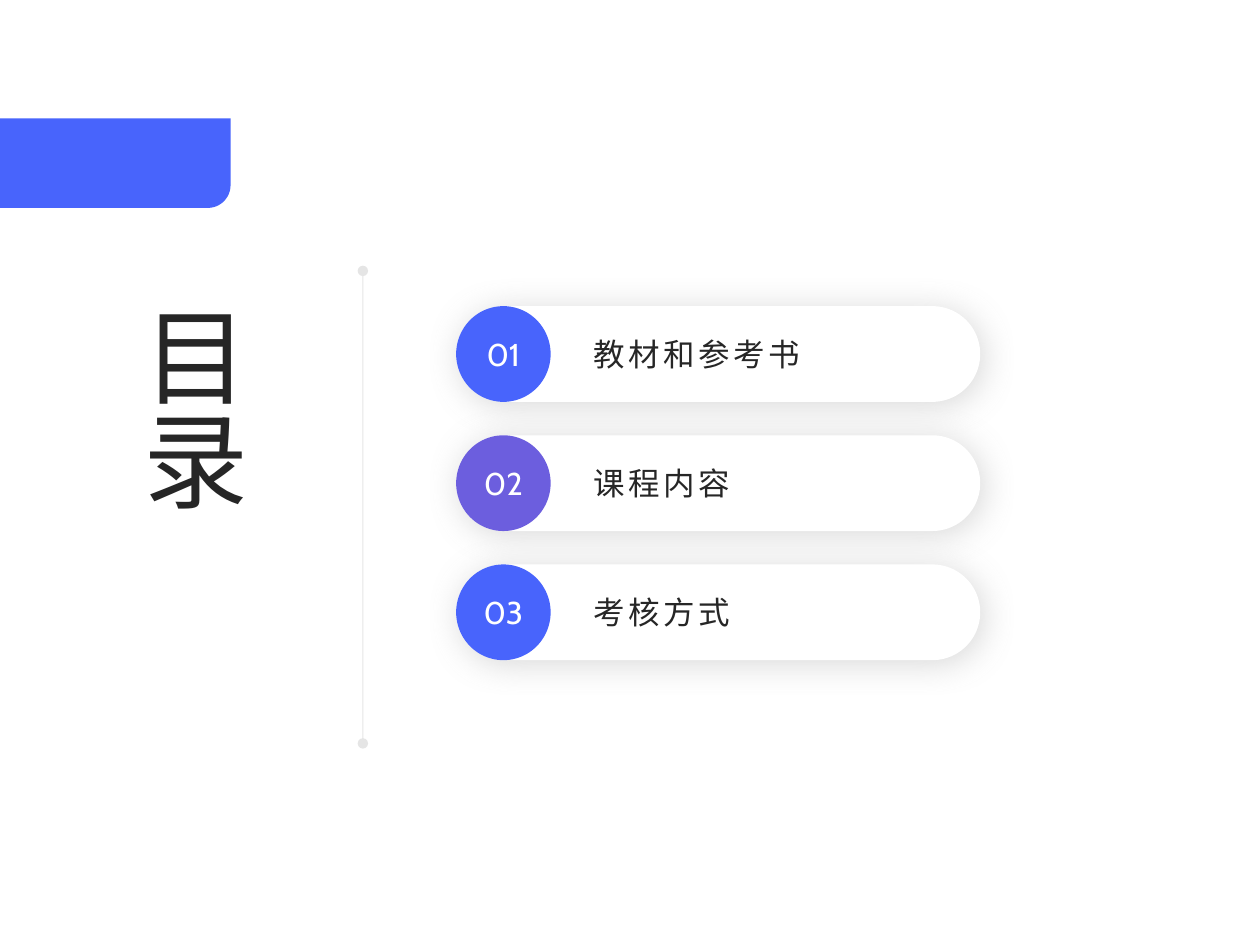
from dataclasses import dataclass
from math import cos, pi, sin

from lxml.etree import SubElement
from pptx import Presentation
from pptx.dml.color import RGBColor
from pptx.enum.shapes import MSO_CONNECTOR, MSO_SHAPE
from pptx.enum.text import MSO_ANCHOR, PP_ALIGN
from pptx.oxml.ns import qn
from pptx.util import Inches, Pt


@dataclass(frozen=True)
class Theme:
    font: str = "Cabin"
    blue: str = "4864FC"
    purple: str = "6C5EDE"
    white: str = "FFFFFF"
    ink: str = "262626"
    gray: str = "808080"
    title_size: int = 60
    item_size: int = 18


THEME = Theme()
ITEMS = [
    ("01", "教材和参考书", THEME.blue),
    ("02", "课程内容", THEME.purple),
    ("03", "考核方式", THEME.blue),
]


def paint(shape, color):
    shape.fill.solid()
    shape.fill.fore_color.rgb = RGBColor.from_string(color)
    shape.line.fill.background()
    shape.shadow.inherit = False


def add_alpha(color_element, percent):
    SubElement(color_element, qn("a:alpha"), val=str(percent * 1000))


def add_soft_shadow(shape):
    effects = shape._element.spPr.find(qn("a:effectLst"))
    shadow = SubElement(effects, qn("a:outerShdw"), blurRad=str(Pt(20)), dist=str(Pt(3)),
                        dir=str(45 * 60000), algn="tl", rotWithShape="0")
    add_alpha(SubElement(shadow, qn("a:srgbClr"), val=THEME.gray), 30)


def write(shape, text, size, color, align, side_inset=0.0):
    """Put one middle-anchored paragraph in the shape and return the paragraph."""
    frame = shape.text_frame
    frame.word_wrap = True
    frame.vertical_anchor = MSO_ANCHOR.MIDDLE
    frame.margin_top = frame.margin_bottom = 0
    frame.margin_left = frame.margin_right = Inches(side_inset)
    paragraph = frame.paragraphs[0]
    paragraph.text = text
    paragraph.alignment = align
    paragraph.font.name = THEME.font
    paragraph.font.size = Pt(size)
    paragraph.font.color.rgb = RGBColor.from_string(color)
    return paragraph


def add_divider(slide, x, top, height):
    """Thin vertical line with a dot at each end."""
    line = slide.shapes.add_connector(MSO_CONNECTOR.STRAIGHT, Inches(x), Inches(top),
                                      Inches(x), Inches(top + height))
    line.line.width = Pt(0.5)
    line.line.color.rgb = RGBColor.from_string(THEME.gray)
    properties = line._element.spPr
    outline = properties.find(qn("a:ln"))
    add_alpha(outline.find(".//" + qn("a:srgbClr")), 20)
    for end in ("a:headEnd", "a:tailEnd"):
        SubElement(outline, qn(end), type="oval")
    SubElement(properties, qn("a:effectLst"))


def add_banner(slide, left, top, width, height, radius=0.18, steps=16):
    """Band whose bottom right corner alone is rounded."""
    right, bottom = left + width, top + height
    angles = [pi / 2 * step / steps for step in range(steps + 1)]
    corner = [(right - radius + radius * cos(angle), bottom - radius + radius * sin(angle))
              for angle in angles]
    points = [(Inches(x), Inches(y)) for x, y in [(right, top), *corner, (left, bottom)]]
    builder = slide.shapes.build_freeform(Inches(left), Inches(top))
    builder.add_line_segments(points, close=True)
    paint(builder.convert_to_shape(), THEME.blue)


def add_title(slide, left, top, width, height):
    title = slide.shapes.add_textbox(Inches(left), Inches(top), Inches(width), Inches(height))
    write(title, "目录", THEME.title_size, THEME.ink, PP_ALIGN.CENTER)
    title.text_frame._txBody.bodyPr.set("vert", "eaVert")


def add_item(slide, left, top, width, height, number, label, color):
    """White pill with a numbered disc and a label."""
    disc_width, label_offset = 0.75, 1.02
    y, tall = Inches(top), Inches(height)
    pill = slide.shapes.add_shape(MSO_SHAPE.ROUNDED_RECTANGLE, Inches(left), y,
                                  Inches(width), tall)
    pill.adjustments[0] = 0.5
    paint(pill, THEME.white)
    add_soft_shadow(pill)

    disc = slide.shapes.add_shape(MSO_SHAPE.OVAL, Inches(left), y, Inches(disc_width), tall)
    paint(disc, color)
    write(disc, number, THEME.item_size, THEME.white, PP_ALIGN.CENTER)

    text = slide.shapes.add_textbox(Inches(left + label_offset), y,
                                    Inches(width - label_offset), tall)
    paragraph = write(text, label, THEME.item_size, THEME.ink, PP_ALIGN.LEFT, 0.07)
    paragraph.runs[0]._r.get_or_add_rPr().set("spc", "200")


def add_item_list(slide, left, top, width, item_height, pitch):
    for index, item in enumerate(ITEMS):
        add_item(slide, left, top + index * pitch, width, item_height, *item)


def main():
    presentation = Presentation()
    presentation.slide_width, presentation.slide_height = Inches(10), Inches(7.5)
    slide = presentation.slides.add_slide(presentation.slide_layouts[6])
    add_divider(slide, 2.88, 2.15, 3.75)
    add_banner(slide, -0.02, 0.94, 1.85, 0.71)
    add_title(slide, 0.96, 2.41, 1.13, 2.96 - 1.0 + 1.0)
    add_item_list(slide, 3.62, 2.43, 4.16, 0.76, 1.025)
    presentation.save("out.pptx")


if __name__ == "__main__":
    main()
